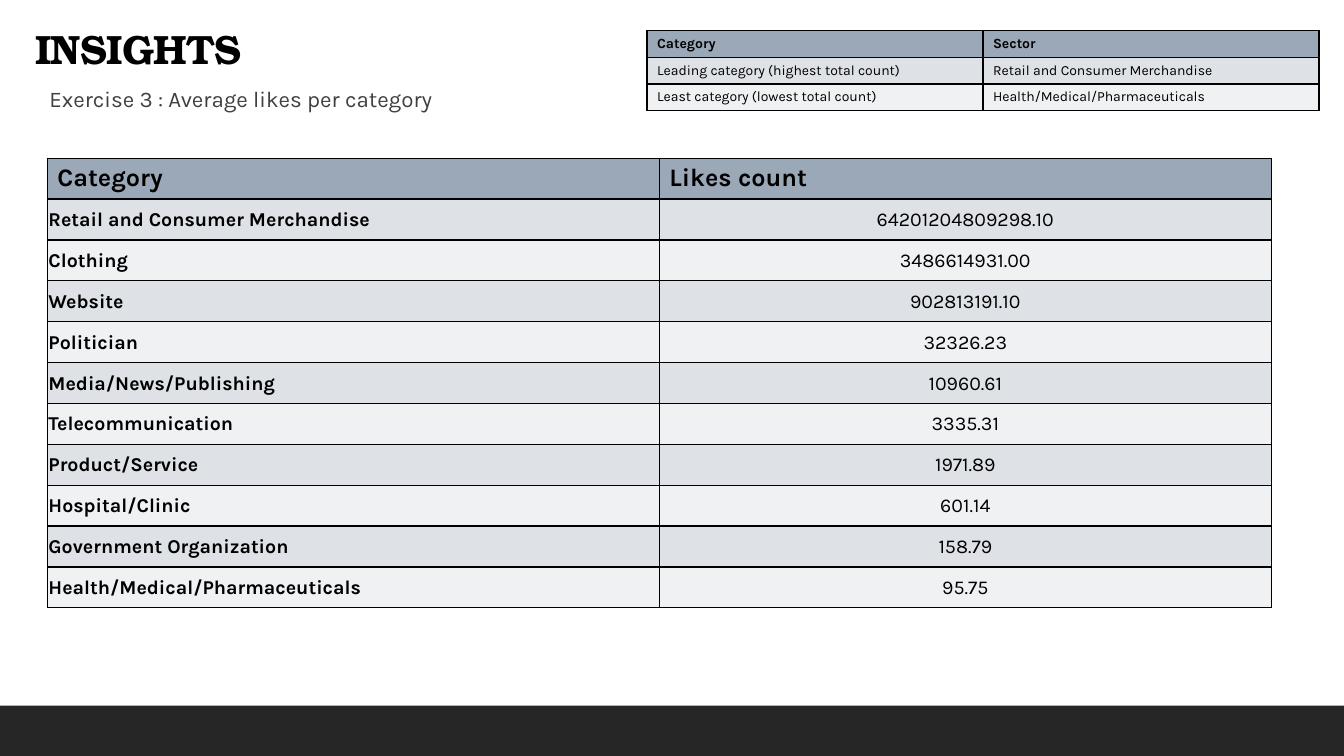
"""Build the insights slide on average likes per category."""
from dataclasses import dataclass

from lxml import etree
from pptx import Presentation
from pptx.dml.color import RGBColor
from pptx.enum import shapes, text
from pptx.oxml import ns
from pptx.util import Pt


@dataclass(frozen=True)
class Theme:
    """Fonts, colours and type sizes of the slide."""
    title_font: str = "TeX Gyre Bonum"
    body_font: str = "Karla"
    black: str = "000000"
    grey: str = "404040"
    footer: str = "262626"
    header: str = "9BA8B7"
    bands: tuple = ("DEE1E6", "EFF1F3")
    title_size: float = 29.2
    subtitle_size: float = 16
    summary_size: float = 10
    header_size: float = 18
    likes_size: float = 14


THEME = Theme()
LEFT, CENTER = text.PP_ALIGN.LEFT, text.PP_ALIGN.CENTER
TIGHT = {"margin_left": Pt(0.8), "margin_right": Pt(0.8),
         "margin_top": Pt(0.8), "margin_bottom": Pt(0),
         "vertical_anchor": text.MSO_ANCHOR.MIDDLE}

SUMMARY = [
    ("Category", "Sector"),
    ("Leading category (highest total count)", "Retail and Consumer Merchandise"),
    ("Least category (lowest total count)", "Health/Medical/Pharmaceuticals"),
]
LIKES = [
    ("Category", "Likes count"),
    ("Retail and Consumer Merchandise", "64201204809298.10"),
    ("Clothing", "3486614931.00"),
    ("Website", "902813191.10"),
    ("Politician", "32326.23"),
    ("Media/News/Publishing", "10960.61"),
    ("Telecommunication", "3335.31"),
    ("Product/Service", "1971.89"),
    ("Hospital/Clinic", "601.14"),
    ("Government Organization", "158.79"),
    ("Health/Medical/Pharmaceuticals", "95.75"),
]


def apply(target, values):
    """Set each named attribute of the target."""
    for name, value in values.items():
        setattr(target, name, value)


def add_xml(parent, tag, **attributes):
    """Append a DrawingML element and return it."""
    return etree.SubElement(parent, ns.qn(tag), attributes)


def write(frame, words, para_values, **font_values):
    """Put one formatted paragraph in a text frame and return its parts."""
    para = frame.paragraphs[0]
    apply(para, para_values)
    span = para.add_run()
    span.text = words
    color = font_values.pop("color", THEME.black)
    apply(span.font, {"name": THEME.body_font, "bold": False, **font_values})
    span.font.color.rgb = RGBColor.from_string(color)
    return para, span


def place(box, left, top, width, height):
    """Move and size a placeholder, in points."""
    apply(box, {"left": Pt(left), "top": Pt(top),
                "width": Pt(width), "height": Pt(height)})


def fill_title(box):
    """Write the slide title."""
    place(box, 18, 18, 792, 37.4)
    apply(box.text_frame, {"vertical_anchor": text.MSO_ANCHOR.BOTTOM,
                           "auto_size": text.MSO_AUTO_SIZE.NONE})
    _, span = write(box.text_frame, "INSIGHTS", {"alignment": LEFT, "line_spacing": 0.8},
                    name=THEME.title_font, size=Pt(THEME.title_size), bold=True)
    span.font._element.set("spc", "-50")


def fill_subtitle(box):
    """Write the exercise line with its blank bullet."""
    place(box, 28.1, 55.4, 850.3, 406.8)
    apply(box.text_frame, {"margin_left": 0, "margin_right": 0,
                           "vertical_anchor": text.MSO_ANCHOR.TOP,
                           "auto_size": text.MSO_AUTO_SIZE.NONE})
    para, _ = write(box.text_frame, "Exercise 3 : Average likes per category",
                    {"alignment": LEFT, "line_spacing": 1.1,
                     "space_before": Pt(12), "space_after": Pt(2)},
                    size=Pt(THEME.subtitle_size), color=THEME.grey)
    props = para._p.get_or_add_pPr()
    props.set("marL", str(Pt(7.2)))
    props.set("indent", str(Pt(-7.2)))
    add_xml(add_xml(props, "a:buClr"), "a:srgbClr", val=THEME.header)
    add_xml(props, "a:buChar", char=" ")


def add_footer(page, width):
    """Draw the dark bar along the bottom edge."""
    bar = page.shapes.add_shape(shapes.MSO_SHAPE.RECTANGLE, 0, Pt(504), width, Pt(36))
    bar.shadow.inherit = False
    bar.fill.solid()
    bar.fill.fore_color.rgb = RGBColor.from_string(THEME.footer)
    bar.line.fill.background()


def paint_cell(cell, color):
    """Give a cell its thin black borders and its fill."""
    props = cell._tc.get_or_add_tcPr()
    for side in ("a:lnL", "a:lnR", "a:lnT", "a:lnB"):
        line = add_xml(props, side, w=str(Pt(1)))
        add_xml(add_xml(line, "a:solidFill"), "a:srgbClr", val=THEME.black)
    cell.fill.solid()
    cell.fill.fore_color.rgb = RGBColor.from_string(color)


def add_grid(page, rows, left, top, width, row_height, style):
    """Add a banded table whose columns and rows are equal."""
    grid = page.shapes.add_table(len(rows), len(rows[0]), Pt(left), Pt(top),
                                 Pt(width), Pt(row_height * len(rows))).table
    for i, row in enumerate(rows):
        grid.rows[i].height = Pt(row_height)
        for j, words in enumerate(row):
            cell = grid.cell(i, j)
            paint_cell(cell, THEME.bands[(i - 1) % 2] if i else THEME.header)
            if i:
                apply(cell, style["cell"])
            write(cell.text_frame, words,
                  {"alignment": style["align"][j] if i else LEFT},
                  size=Pt(style["size"] if i else style["header_size"]),
                  bold=i == 0 or style["bold"][j])


def main():
    """Build and save the deck."""
    deck = Presentation()
    apply(deck, {"slide_width": Pt(960), "slide_height": Pt(540)})
    page = deck.slides.add_slide(deck.slide_layouts[1])
    add_footer(page, deck.slide_width)
    fill_title(page.shapes.title)
    fill_subtitle(page.placeholders[1])
    add_grid(page, SUMMARY, 462.2, 22, 480, 19,
             {"cell": {}, "align": (LEFT, LEFT), "bold": (False, False),
              "size": THEME.summary_size, "header_size": THEME.summary_size})
    add_grid(page, LIKES, 33.8, 113, 874.4, 29.2,
             {"cell": TIGHT, "align": (LEFT, CENTER), "bold": (True, False),
              "size": THEME.likes_size, "header_size": THEME.header_size})
    deck.save("out.pptx")


if __name__ == "__main__":
    main()
